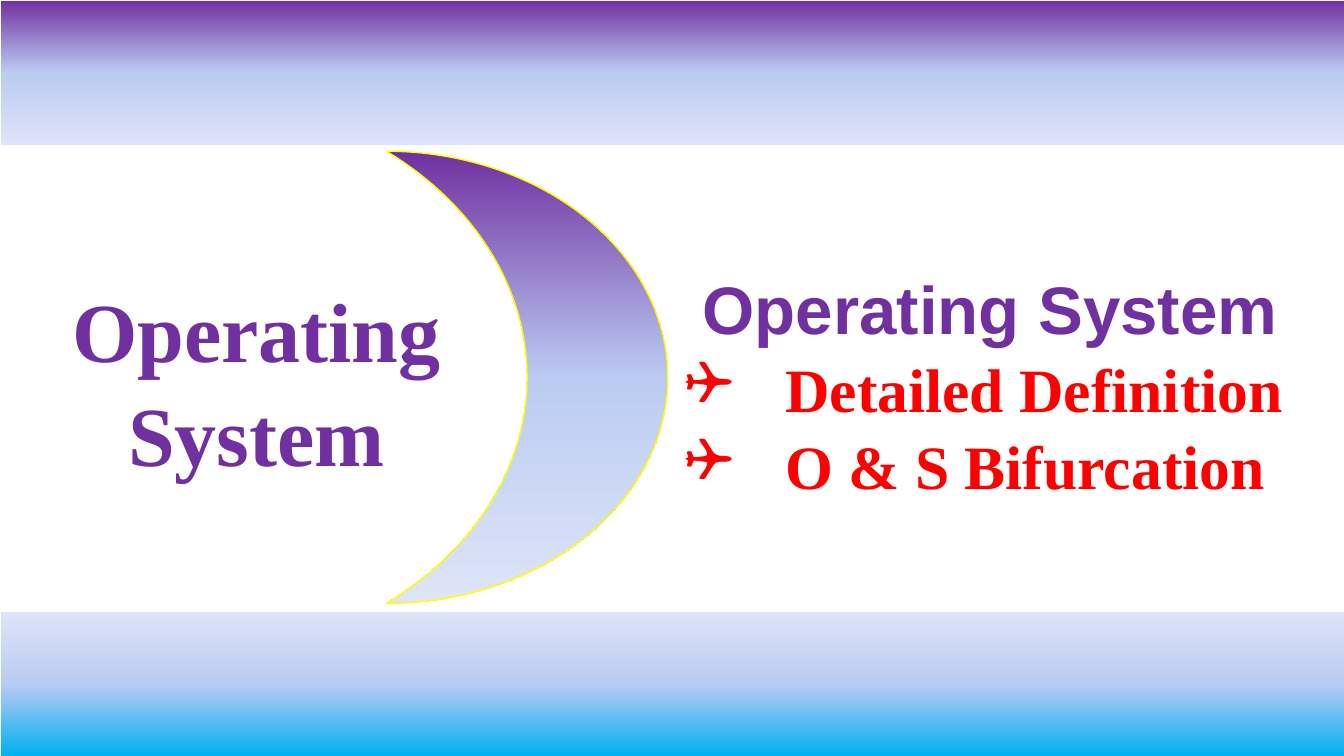
from copy import deepcopy

from lxml import etree
from pptx import Presentation
from pptx.dml.color import RGBColor
from pptx.enum import shapes, text
from pptx.oxml.ns import qn
from pptx.util import Pt

COLORS = {
    "purple": "7030A0",
    "sky": "00B0F0",
    "mid": "BBCBF2",
    "pale": "DEE5F8",
    "white": "FFFFFF",
    "yellow": "FFFF00",
    "red": "FF0000",
    "green": "00A578",
}
SERIF = "Times New Roman"
WIDTH, HEIGHT, BAND = 960, 540, 103.7


def rgb(name):
    """Return the named colour."""
    return RGBColor.from_string(COLORS[name])


def add_gradient_shape(slide, kind, box, start, angle, line, weight):
    """Add a shape fading from a start colour to the pale tint."""
    sp = slide.shapes.add_shape(kind, *map(Pt, box))
    sp.shadow.inherit = False
    sp.line.color.rgb = rgb(line)
    sp.line.width = Pt(weight)
    sp.fill.gradient()
    sp.fill.gradient_angle = angle
    stops = sp._element.spPr.find(qn("a:gradFill")).find(qn("a:gsLst"))
    stops.insert(1, deepcopy(stops[0]))
    for stop, name, pos in zip(sp.fill.gradient_stops, (start, "mid", "pale"), (0, 0.5, 1)):
        stop.color.rgb = rgb(name)
        stop.position = pos
    return sp


def place_text(sp, box, lines, anchor):
    """Move a placeholder and fill it with lines of text."""
    sp.left, sp.top, sp.width, sp.height = map(Pt, box)
    tf = sp.text_frame
    tf.text = "\n".join(lines)
    tf.word_wrap = True
    tf.auto_size = text.MSO_AUTO_SIZE.NONE
    tf.vertical_anchor = anchor
    return tf.paragraphs


def format_paragraph(p, size, font, color, align):
    """Set the spacing, alignment and font of a paragraph."""
    p.alignment = align
    p.line_spacing = 1.04
    p.space_before = p.space_after = Pt(0)
    for r in p.runs:
        r.font.size = Pt(size)
        r.font.name = font
        r.font.bold = True
        r.font.color.rgb = rgb(color)


def set_bullet(p, char=None, indent=0):
    """Give a paragraph a hanging bullet, or none."""
    pPr = p._p.get_or_add_pPr()
    pPr.set("marL", str(Pt(indent)))
    pPr.set("indent", str(-Pt(indent)))
    if char:
        etree.SubElement(pPr, qn("a:buFont"), typeface="Wingdings")
        etree.SubElement(pPr, qn("a:buChar"), char=char)
    else:
        etree.SubElement(pPr, qn("a:buNone"))


def outline_text(r, color, weight):
    """Draw a thin outline around the letters of a run."""
    ln = etree.Element(qn("a:ln"), w=str(Pt(weight)))
    fill = etree.SubElement(ln, qn("a:solidFill"))
    etree.SubElement(fill, qn("a:srgbClr"), val=COLORS[color])
    r.font._element.insert(0, ln)


def main():
    """Build the slide and save it."""
    prs = Presentation()
    prs.slide_width, prs.slide_height = Pt(WIDTH), Pt(HEIGHT)
    slide = prs.slides.add_slide(prs.slide_layouts[1])
    title, body = slide.placeholders
    kinds, aligns = shapes.MSO_SHAPE, text.PP_ALIGN

    add_gradient_shape(slide, kinds.RECTANGLE, (0, 0, WIDTH, BAND), "purple", 270, "white", 0.25)
    moon = add_gradient_shape(slide, kinds.MOON, (276, 108, 201, 323), "purple", 270, "yellow", 1)
    moon._element.spPr.find(qn("a:xfrm")).set("flipH", "1")
    add_gradient_shape(slide, kinds.RECTANGLE, (0, HEIGHT - BAND, WIDTH, BAND), "sky", 90, "white", 0.25)

    heading, *items = place_text(
        body,
        (481.7, 185, 451.4, 186.5),
        ("Operating System", "Detailed Definition", "O & S Bifurcation"),
        text.MSO_ANCHOR.TOP,
    )
    format_paragraph(heading, 48, "Arial", "purple", aligns.CENTER)
    set_bullet(heading)
    for p in items:
        format_paragraph(p, 44, SERIF, "red", aligns.LEFT)
        set_bullet(p, "❑", 72)

    (p,) = place_text(title, (44, 194.4, 278.6, 152.6), ("Operating System",), text.MSO_ANCHOR.MIDDLE)
    format_paragraph(p, 60, SERIF, "purple", aligns.CENTER)
    outline_text(p.runs[0], "green", 0.71)

    prs.save("out.pptx")


if __name__ == "__main__":
    main()
